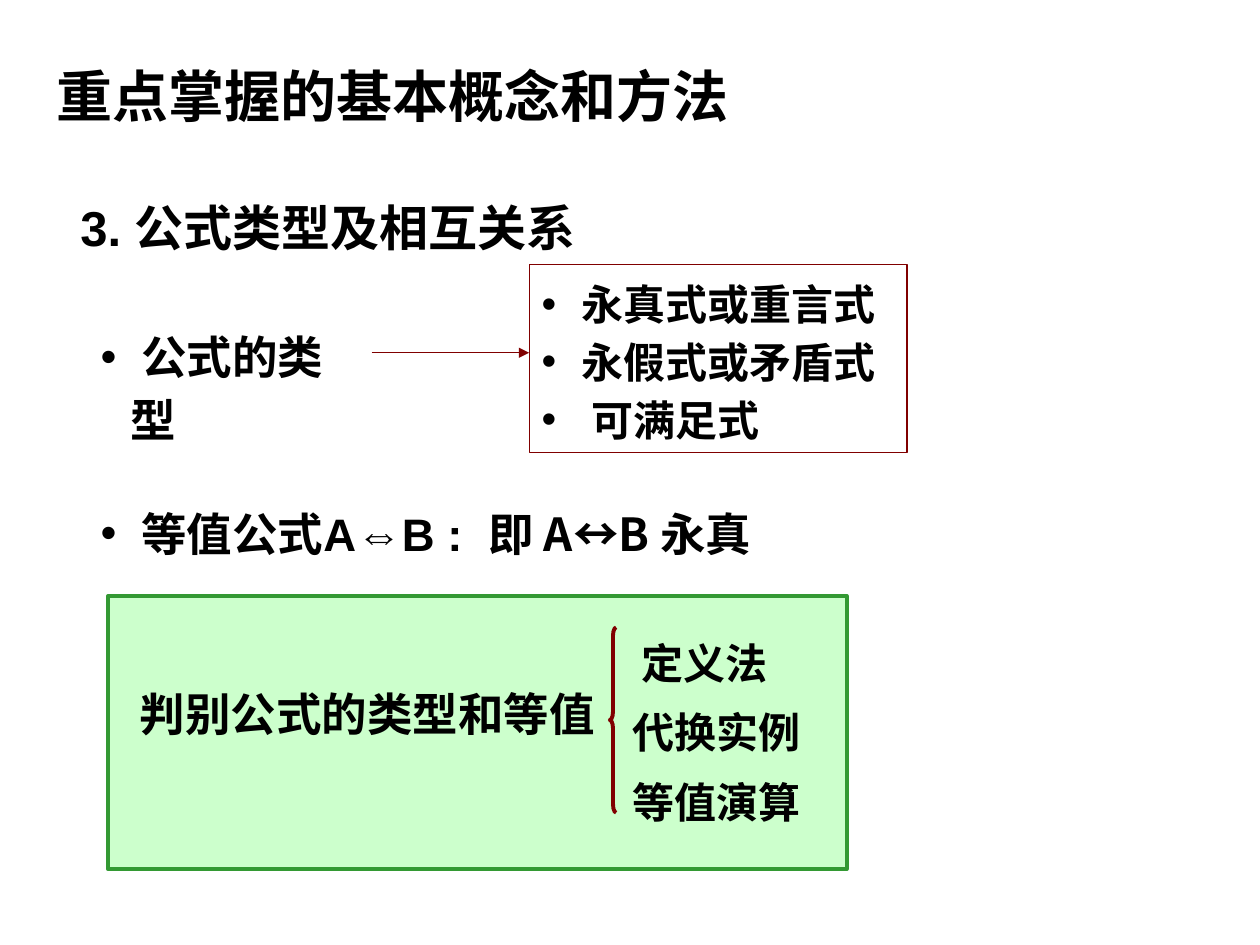
from dataclasses import dataclass
from typing import Optional

from lxml.etree import SubElement
from pptx import Presentation
from pptx.dml.color import RGBColor
from pptx.enum.shapes import MSO_CONNECTOR as Connector, MSO_SHAPE as Preset
from pptx.enum.text import MSO_ANCHOR as Anchor, MSO_AUTO_SIZE as AutoSize, PP_ALIGN as Align
from pptx.oxml.ns import qn
from pptx.util import Inches, Pt


@dataclass(frozen=True)
class Theme:
    text: RGBColor = RGBColor(0x00, 0x00, 0x00)
    paper: RGBColor = RGBColor(0xFF, 0xFF, 0xFF)
    panel: RGBColor = RGBColor(0xCC, 0xFF, 0xCC)
    panel_line: RGBColor = RGBColor(0x33, 0x99, 0x33)
    accent: RGBColor = RGBColor(0x80, 0x00, 0x00)
    title_size: int = 32
    heading_size: int = 28
    body_size: int = 26
    detail_size: int = 24
    sans: str = "Arial"
    serif: str = "Cambria"
    chinese: str = "Noto Sans CJK SC"
    hanging: float = 0.24


THEME = Theme()


@dataclass(frozen=True)
class Box:
    left: float
    top: float
    width: float
    height: float

    def lengths(self) -> list:
        return [Inches(value) for value in (self.left, self.top, self.width, self.height)]


@dataclass(frozen=True)
class Run:
    text: str
    font: str = THEME.sans


@dataclass(frozen=True)
class Line:
    runs: tuple[Run, ...]
    bullet: bool = False
    extra_indent: float = 0


@dataclass(frozen=True)
class Label:
    box: Box
    lines: tuple[Line, ...]
    size: int
    spacing: float = 1.15
    filled: bool = True
    border: Optional[RGBColor] = None


def set_values(target, values: dict) -> None:
    for name, value in values.items():
        setattr(target, name, value)


def set_outline(shape, color: RGBColor, width: float) -> None:
    shape.line.color.rgb = color
    shape.line.width = Pt(width)


def add_preset(slide, preset: Preset, box: Box):
    shape = slide.shapes.add_shape(preset, *box.lengths())
    shape.shadow.inherit = False
    shape.fill.background()
    shape.line.fill.background()
    return shape


def fill_half_transparent(shape, color: RGBColor) -> None:
    shape.fill.solid()
    shape.fill.fore_color.rgb = color
    color_element = next(shape._element.spPr.iter(qn("a:srgbClr")))
    SubElement(color_element, qn("a:alpha"), val="50000")


def add_bullet(paragraph, extra_indent: float) -> None:
    properties = paragraph._p.get_or_add_pPr()
    properties.set("marL", str(Inches(THEME.hanging + extra_indent)))
    properties.set("indent", str(-Inches(THEME.hanging + extra_indent)))
    SubElement(properties, qn("a:buFont"), typeface=THEME.sans)
    SubElement(properties, qn("a:buChar"), char="•")


def write_line(paragraph, line: Line, label: Label) -> None:
    if line.bullet:
        add_bullet(paragraph, line.extra_indent)
    set_values(paragraph, {"alignment": Align.LEFT, "line_spacing": label.spacing})
    for item in line.runs:
        run = paragraph.add_run()
        run.text = item.text
        set_values(run.font, {"name": item.font, "size": Pt(label.size), "bold": True})
        run.font.color.rgb = THEME.text
        SubElement(run._r.get_or_add_rPr(), qn("a:ea"), typeface=THEME.chinese)


def draw_label(slide, label: Label) -> None:
    if label.filled:
        shape = add_preset(slide, Preset.RECTANGLE, label.box)
        fill_half_transparent(shape, THEME.paper)
    else:
        shape = slide.shapes.add_textbox(*label.box.lengths())
    if label.border is not None:
        set_outline(shape, label.border, 0.75)
    frame = shape.text_frame
    set_values(frame, {
        "word_wrap": True,
        "vertical_anchor": Anchor.TOP,
        "auto_size": AutoSize.SHAPE_TO_FIT_TEXT,
    })
    for index, line in enumerate(label.lines):
        paragraph = frame.add_paragraph() if index else frame.paragraphs[0]
        write_line(paragraph, line, label)


def draw_panel(slide, box: Box) -> None:
    panel = add_preset(slide, Preset.RECTANGLE, box)
    panel.fill.solid()
    panel.fill.fore_color.rgb = THEME.panel
    set_outline(panel, THEME.panel_line, 2.25)


def draw_brace(slide, box: Box) -> None:
    brace = add_preset(slide, Preset.LEFT_BRACE, box)
    brace.adjustments[0] = 1.29
    brace.adjustments[1] = 0.5
    set_outline(brace, THEME.accent, 2.25)


def draw_arrow(slide, start: float, end: float, height: float) -> None:
    arrow = slide.shapes.add_connector(
        Connector.ELBOW, Inches(start), Inches(height), Inches(end), Inches(height))
    set_outline(arrow, THEME.accent, 0.5)
    SubElement(arrow.line._get_or_add_ln(), qn("a:tailEnd"), type="triangle")
    SubElement(arrow._element.spPr, qn("a:effectLst"))


def single(text: str, font: str = THEME.sans, bullet: bool = False) -> tuple[Line, ...]:
    return (Line((Run(text, font),), bullet),)


HEADINGS = (
    Label(Box(0.54, 1.45, 6.33, 0.59), single("3. 公式类型及相互关系"), THEME.heading_size),
    Label(Box(0.35, 0.36, 8.19, 0.66), single("重点掌握的基本概念和方法", THEME.chinese),
          THEME.title_size),
)
TOPICS = (
    Label(Box(1.01, 5.33, 4.17, 0.6), single("判别公式的类型和等值"), THEME.body_size, filled=False),
    Label(Box(0.7, 2.5, 2.25, 0.6), single(" 公式的类型", bullet=True), THEME.body_size),
    Label(Box(0.7, 3.9, 5.92, 0.6),
          (Line((Run(" 等值公式A⇔B :  即 "), Run("A↔B 永真", THEME.chinese)), True),),
          THEME.body_size),
)
METHODS = tuple(
    Label(Box(4.92, 4.85 + 0.55 * index, 1.58, 0.57), single(text, THEME.serif),
          THEME.detail_size, 1.4, filled=False)
    for index, text in enumerate((" 定义法", "代换实例", "等值演算"))
)
FORMULA_TYPES = Label(
    Box(4.2, 2.1, 3, 1.49),
    single(" 永真式或重言式", THEME.serif, True)
    + single(" 永假式或矛盾式", THEME.serif, True)
    + (Line((Run(" 可满足式", THEME.serif),), True, 0.08),),
    THEME.detail_size, border=THEME.accent)


def main() -> None:
    presentation = Presentation()
    set_values(presentation, {"slide_width": Inches(10), "slide_height": Inches(7.5)})
    slide = presentation.slides.add_slide(presentation.slide_layouts[6])
    draw_panel(slide, Box(0.86, 4.73, 5.86, 2.17))
    for label in HEADINGS + TOPICS:
        draw_label(slide, label)
    draw_brace(slide, Box(4.84, 4.98, 0.05, 1.47))
    for label in METHODS + (FORMULA_TYPES,):
        draw_label(slide, label)
    draw_arrow(slide, 2.95, 4.2, 2.8)
    presentation.save("out.pptx")


if __name__ == "__main__":
    main()
